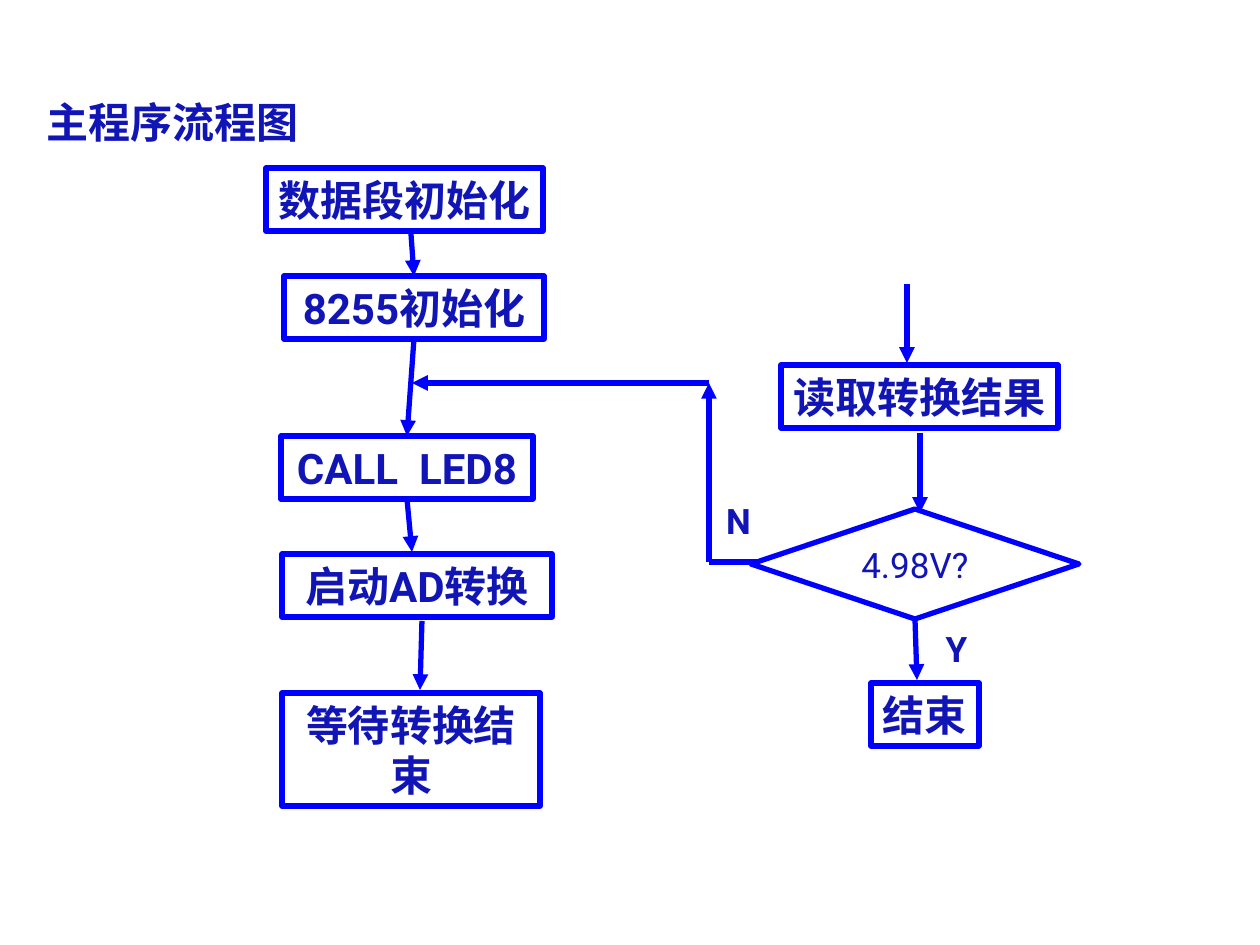
from lxml.etree import SubElement
from pptx import Presentation
from pptx.dml.color import RGBColor
from pptx.enum.shapes import MSO_CONNECTOR, MSO_SHAPE
from pptx.enum.text import MSO_ANCHOR, PP_ALIGN
from pptx.oxml.ns import qn
from pptx.util import Pt

SCALE = 914400 / 126
HEX = {"line": "0000FF", "text": "1115B5"}
HAN = "Noto Sans CJK SC"
BOX_H = 63


def px(*nums):
    """Turn pixel lengths into EMU."""
    return [round(n * SCALE) for n in nums]


class Chart:
    """Flow chart style and the slide it is drawn on."""

    def __init__(self, slide):
        self.shapes = slide.shapes

    def fill_text(self, shape, text, wrap=True, align=PP_ALIGN.CENTER,
                  anchor=MSO_ANCHOR.MIDDLE, space=1.0, **form):
        """Put styled text in a shape."""
        frame = shape.text_frame
        frame.word_wrap = wrap
        frame.vertical_anchor = anchor
        para = frame.paragraphs[0]
        para.alignment = align
        para.line_spacing = space
        run = para.add_run()
        run.text = text
        look = {"name": "Roboto", "size": Pt(24), "bold": True, **form}
        for key, val in look.items():
            setattr(run.font, key, val)
        run.font.color.rgb = RGBColor.from_string(HEX["text"])
        SubElement(run._r.get_or_add_rPr(), qn("a:ea"), typeface=HAN)

    def ink(self, line):
        """Give a line the chart's stroke."""
        line.color.rgb = RGBColor.from_string(HEX["line"])
        line.width = Pt(3)

    def node(self, text, x, y, w, h=BOX_H, kind=MSO_SHAPE.RECTANGLE, **form):
        """Add an outlined step and return it."""
        shape = self.shapes.add_shape(kind, *px(x, y, w, h))
        shape.shadow.inherit = False
        shape.fill.background()
        self.ink(shape.line)
        self.fill_text(shape, text, **form)
        return shape

    def label(self, text, x, y, w, h, **form):
        """Add plain text."""
        self.fill_text(self.shapes.add_textbox(*px(x, y, w, h)), text,
                       anchor=MSO_ANCHOR.TOP, **form)

    def link(self, x1, y1, x2, y2, start=None, end=None, head=True):
        """Add a line, joined to the steps given."""
        wire = self.shapes.add_connector(
            MSO_CONNECTOR.STRAIGHT, *px(x1, y1, x2, y2))
        self.ink(wire.line)
        props = wire._element.spPr
        if head:
            SubElement(props.find(qn("a:ln")), qn("a:tailEnd"),
                       type="triangle")
        SubElement(props, qn("a:effectLst"))
        if start:
            wire.begin_connect(start, 2)
        if end:
            wire.end_connect(end, 0)


def main():
    """Build the slide."""
    deck = Presentation()
    deck.slide_width, deck.slide_height = px(1260, 945)
    chart = Chart(deck.slides.add_slide(deck.slide_layouts[6]))

    chart.label("主程序流程图", 34, 96, 312, 59, name=HAN,
                align=PP_ALIGN.LEFT, space=0.9)

    chart.node("数据段初始化", 266, 168, 277, wrap=False)
    init = chart.node("8255初始化", 284, 276, 260, wrap=False)
    call = chart.node("CALL  LED8", 281, 436, 252, wrap=False)
    chart.node("启动AD转换", 282, 554, 270, wrap=False)
    chart.node("等待转换结束", 282, 693, 258, 113)
    chart.node("读取转换结果", 781, 365, 277, wrap=False)
    test = chart.node("4.98V?", 751, 509, 328, 110, MSO_SHAPE.DIAMOND,
                      size=Pt(20), bold=False)
    chart.node("结束", 871, 683, 108, wrap=False)

    chart.link(411, 234, 411, 275, end=init)
    chart.link(412, 344, 409, 433, start=init, end=call)
    chart.link(409, 503, 412, 552, start=call)
    chart.link(422, 621, 420, 690)
    chart.link(907, 284, 907, 363)
    chart.link(920, 433, 920, 513)
    chart.link(917, 621, 917, 680, start=test)

    chart.link(759, 562, 709, 562, head=False)
    chart.link(709, 562, 709, 383)
    chart.link(709, 383, 412, 383)

    for text, x, y in (("N", 699, 493), ("Y", 917, 621)):
        chart.label(text, x, y, 79, 55, size=Pt(20))

    deck.save("out.pptx")


if __name__ == "__main__":
    main()
